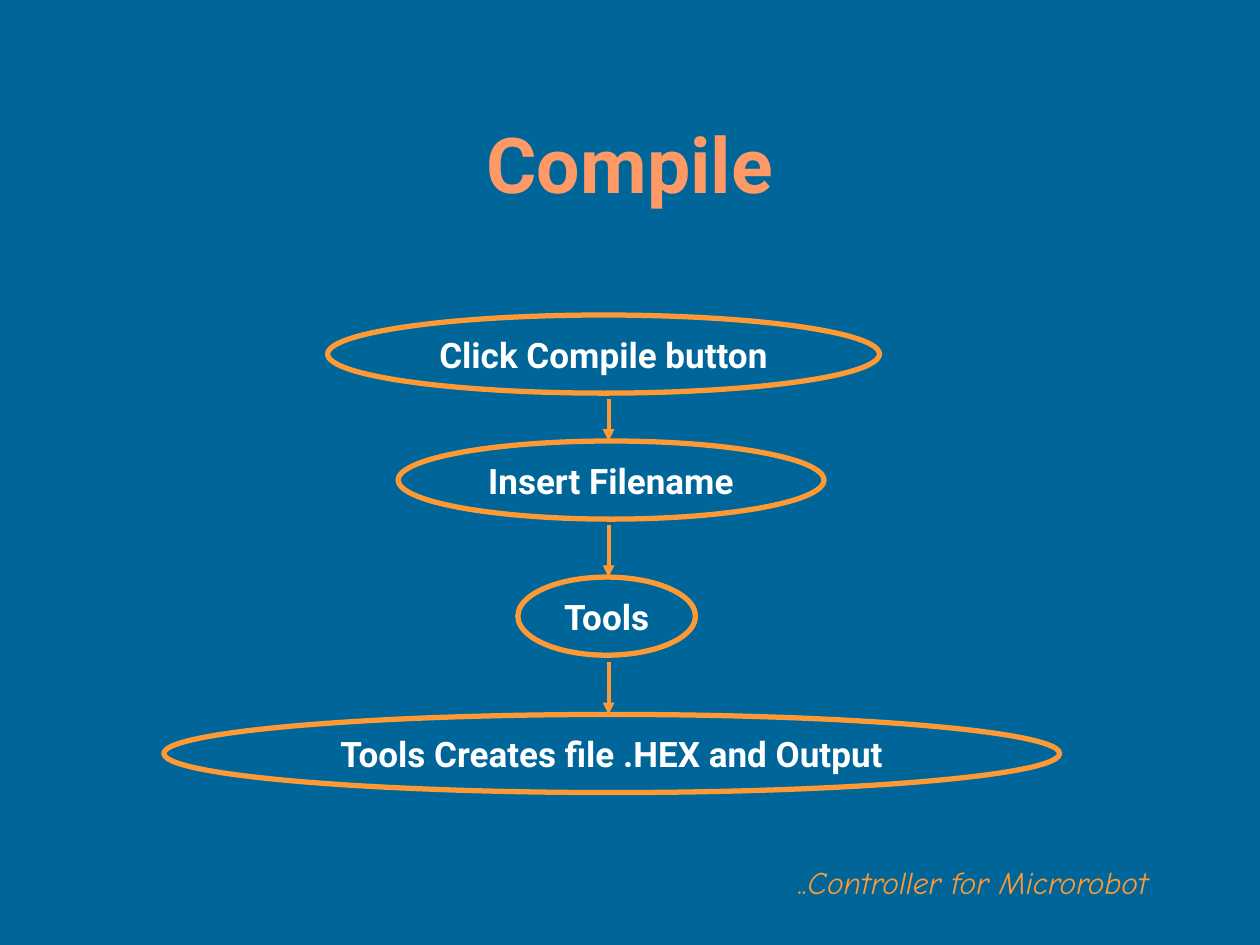
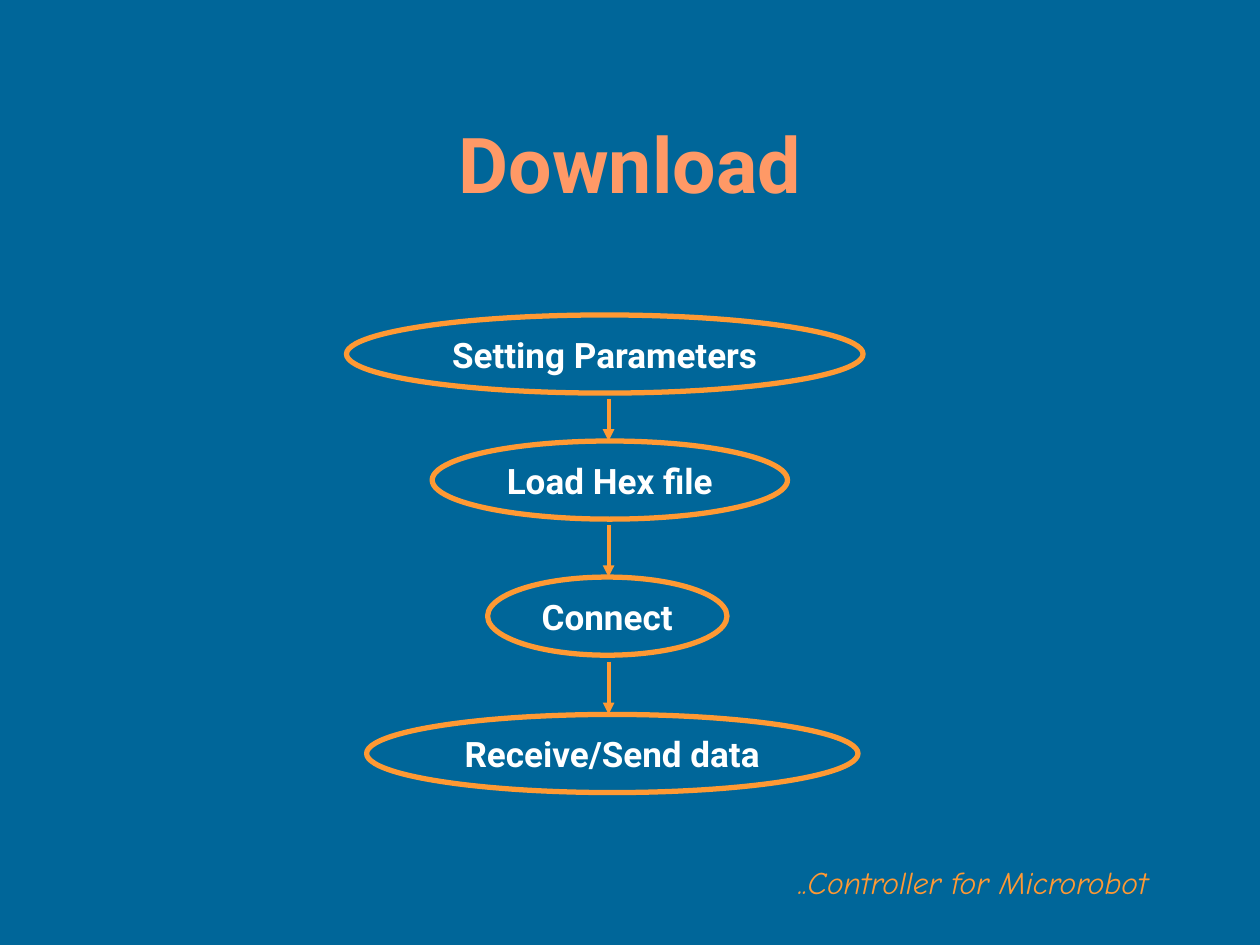
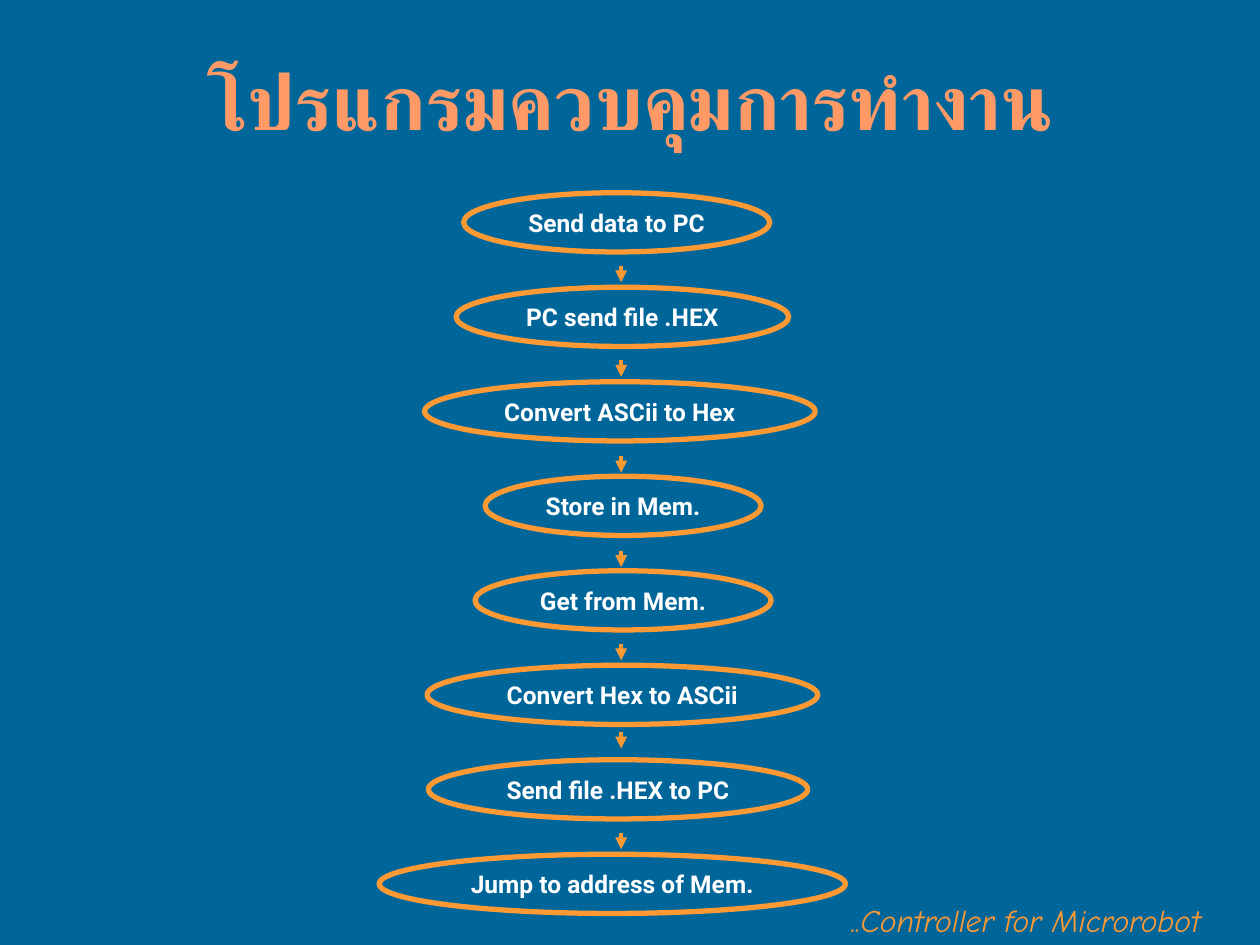
from lxml.etree import SubElement
from pptx import Presentation
from pptx.dml.color import RGBColor
from pptx.enum.shapes import MSO_CONNECTOR, MSO_SHAPE
from pptx.enum.text import MSO_ANCHOR, MSO_AUTO_SIZE, PP_ALIGN
from pptx.oxml.ns import qn
from pptx.util import Inches, Pt

HUES = {"back": "006699", "title": "FF9966", "line": "FF9933", "text": "FFFFFF"}
HEAD = {"name": "Roboto", "size": Pt(44), "bold": True}
STEP = {"name": "Roboto", "bold": True}
FOOT = {"name": "Comic Neue", "size": Pt(18), "italic": True}

FLOWS = [
    ("Compile", [
        ("Click Compile button", 2.6, 4.38),
        ("Insert Filename", 3.16, 3.38),
        ("Tools", 4.11, 1.41),
        ("Tools Creates file .HEX and Output", 1.3, 7.11),
    ]),
    ("Download", [
        ("Setting Parameters", 2.75, 4.1),
        ("Load Hex file", 3.43, 2.82),
        ("Connect", 3.87, 1.9),
        ("Receive/Send data", 2.91, 3.9),
    ]),
]
TOPS = [2.5, 3.5, 4.58, 5.67]

TASKS = [
    ("Send data to PC", 3.68, 2.43),
    ("PC send file .HEX", 3.62, 2.64),
    ("Convert ASCii to Hex", 3.37, 3.1),
    ("Store in Mem.", 3.85, 2.19),
    ("Get from Mem.", 3.77, 2.35),
    ("Convert Hex to ASCii", 3.39, 3.1),
    ("Send file .HEX to PC", 3.4, 3.01),
    ("Jump to address of Mem.", 3.01, 3.7),
]
STARTS = [2.11, 2.86, 3.62, 4.37, 5.11, 5.81, 6.61]


def tint(key):
    return RGBColor.from_string(HUES[key])


def write(shape, text, look, hue, align, anchor=MSO_ANCHOR.MIDDLE):
    frame = shape.text_frame
    frame.text = text
    form = {"word_wrap": False, "auto_size": MSO_AUTO_SIZE.NONE,
            "vertical_anchor": anchor}
    for key, value in form.items():
        setattr(frame, key, value)
    para = frame.paragraphs[0]
    para.alignment = align
    font = para.runs[0].font
    for key, value in look.items():
        setattr(font, key, value)
    font.color.rgb = tint(hue)


def add_page(deck, title, top, foot):
    page = deck.slides.add_slide(deck.slide_layouts[5])
    head = page.shapes.title
    place = {"left": 0.75, "top": top, "width": 8.5, "height": 1.25}
    for key, value in place.items():
        setattr(head, key, Inches(value))
    write(head, title, HEAD, "title", PP_ALIGN.CENTER)
    note = page.shapes.add_textbox(*map(Inches, (*foot, 3.01, 0.4)))
    write(note, "..Controller for Microrobot", FOOT, "line",
          PP_ALIGN.LEFT, MSO_ANCHOR.TOP)
    return page


def add_step(page, text, left, top, width, height, size):
    oval = page.shapes.add_shape(
        MSO_SHAPE.OVAL, *map(Inches, (left, top, width, height)))
    oval.shadow.inherit = False
    oval.fill.background()
    oval.line.color.rgb = tint("line")
    oval.line.width = Pt(3)
    write(oval, text, {**STEP, "size": Pt(size)}, "text", PP_ALIGN.CENTER)


def add_arrow(page, x, start, end):
    arrow = page.shapes.add_connector(
        MSO_CONNECTOR.STRAIGHT, *map(Inches, (x, start, x, end)))
    arrow.line.color.rgb = tint("line")
    arrow.line.width = Pt(2.25)
    props = arrow._element.spPr
    SubElement(props.find(qn("a:ln")), qn("a:tailEnd"), type="triangle")
    SubElement(props, qn("a:effectLst"))


def add_flow(page, steps, tops, height, size):
    for (text, left, width), top in zip(steps, tops):
        add_step(page, text, left, top, width, height, size)


def main():
    deck = Presentation()
    deck.slide_width, deck.slide_height = Inches(10), Inches(7.5)
    fill = deck.slide_master.background.fill
    fill.solid()
    fill.fore_color.rgb = tint("back")

    for title, steps in FLOWS:
        page = add_page(deck, title, 0.67, (6.24, 6.8))
        add_flow(page, steps, TOPS, 0.62, 20)
        for top, end in zip(TOPS, TOPS[1:]):
            add_arrow(page, 4.83, top + 0.67, end)

    page = add_page(deck, "โปรแกรมควบคุมการทำงาน", 0.17, (6.66, 7.1))
    rows = [1.53 + 0.75 * row for row in range(len(TASKS))]
    add_flow(page, TASKS, rows, 0.47, 14)
    for start in STARTS:
        add_arrow(page, 4.93, start, start + 0.13)

    deck.save("out.pptx")


if __name__ == "__main__":
    main()
